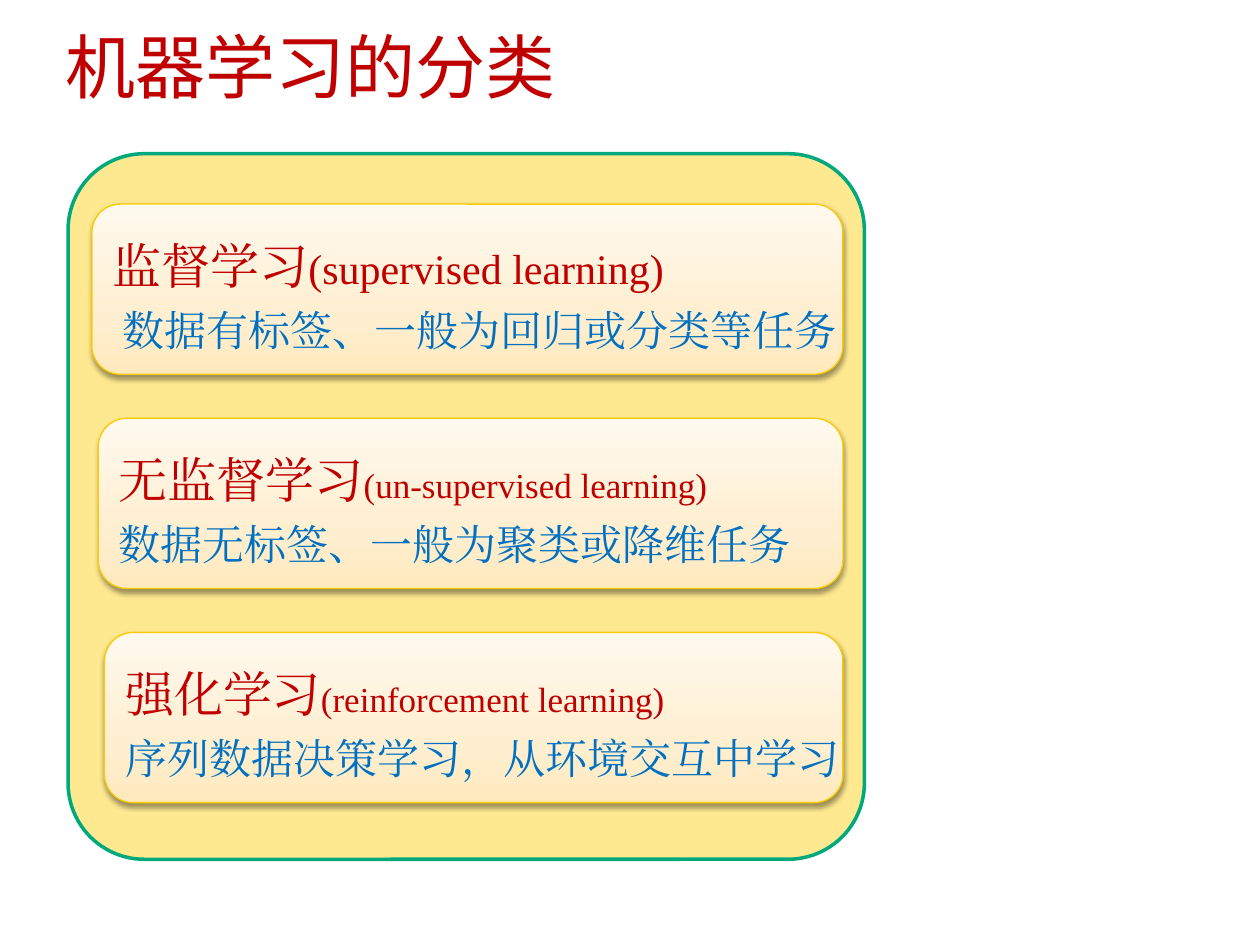
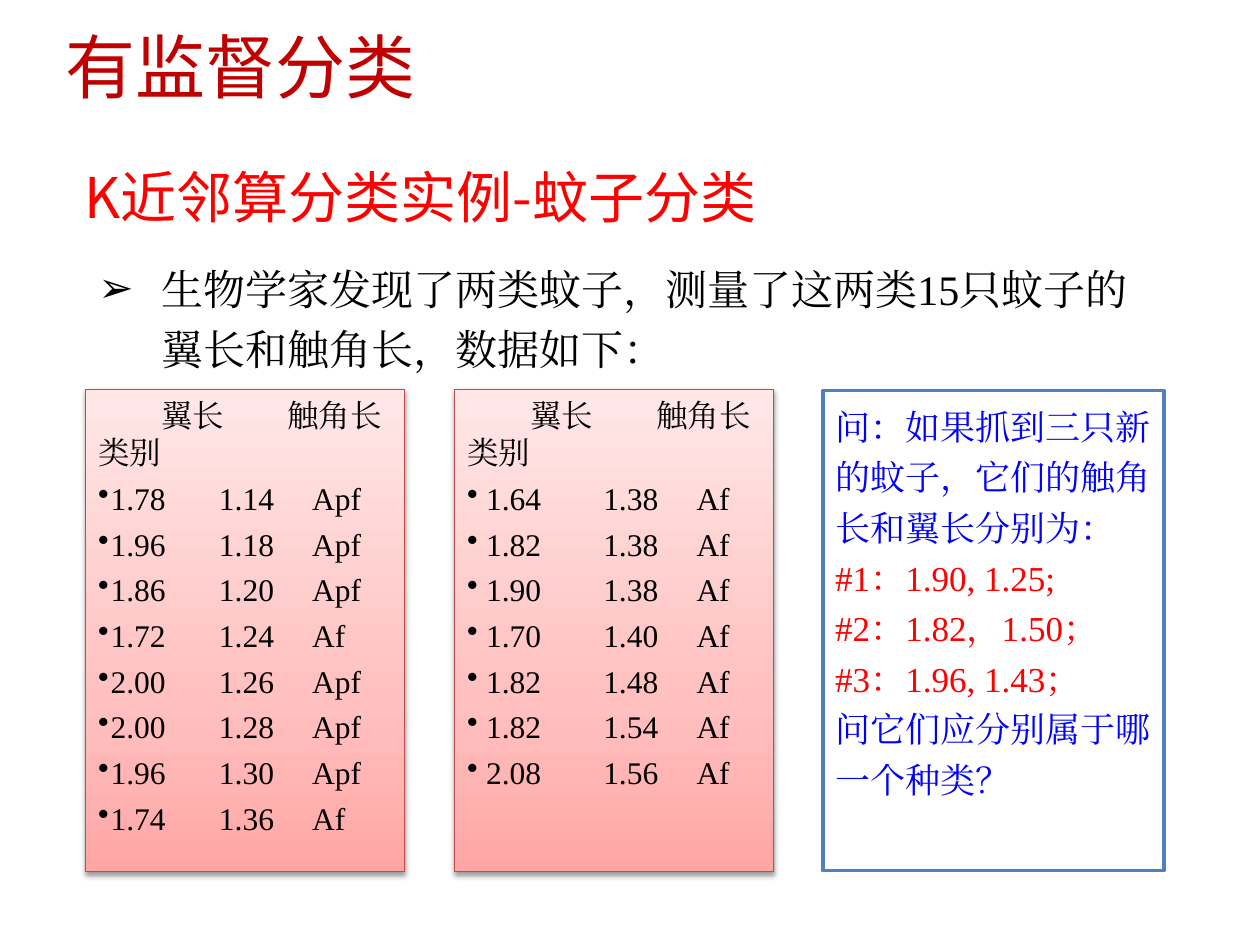
from lxml.etree import SubElement
from pptx import Presentation
from pptx.dml.color import RGBColor
from pptx.enum.shapes import MSO_SHAPE
from pptx.enum.text import MSO_ANCHOR, MSO_AUTO_SIZE, PP_ALIGN
from pptx.oxml.ns import qn
from pptx.util import Emu, Inches, Pt

SERIF, SANS = "Times New Roman", "Noto Sans CJK JP"
DARK_RED, RED, BLUE, SKY, BLACK = "C00000", "FF0000", "0000FF", "0070C0", "000000"
CREAM = [(0, "FFE9BD"), (35, "FFEFD1"), (100, "FFF9EE")]
PINK = [(0, "FFA6A5"), (35, "FFC0BF"), (100, "FFE7E7")]

# Chinese name, English name, size of the English name, description, indent of the description
LEARNING_TYPES = [
    ("监督学习", "(supervised learning)", 24, "数据有标签、一般为回归或分类等任务", 0.08),
    ("无监督学习", "(un-supervised learning)", 20, "数据无标签、一般为聚类或降维任务", 0),
    ("强化学习", "(reinforcement learning)", 20, "序列数据决策学习，从环境交互中学习", 0),
]

HEADINGS = ("翼长", "触角长", "类别")
MOSQUITO_PANELS = [
    {
        "left": 0.68,
        "heading_tabs": (0.06, 0.78, 1.64),
        "row_tabs": (0.1, 0.96, 1.7),
        "rows": [
            ("1.78", "1.14", "Apf"), ("1.96", "1.18", "Apf"),
            ("1.86", "1.20", "Apf"), ("1.72", "1.24", "Af"),
            ("2.00", "1.26", "Apf"), ("2.00", "1.28", "Apf"),
            ("1.96", "1.30", "Apf"), ("1.74", "1.36", "Af"),
        ],
    },
    {
        "left": 3.61,
        "heading_tabs": (0.16, 0.89, 1.7),
        "row_tabs": (0.15, 1.08, 1.82),
        "rows": [
            ("1.64", "1.38", "Af"), ("1.82", "1.38", "Af"),
            ("1.90", "1.38", "Af"), ("1.70", "1.40", "Af"),
            ("1.82", "1.48", "Af"), ("1.82", "1.54", "Af"),
            ("2.08", "1.56", "Af"),
        ],
    },
]

QUESTION = [
    ("问：如果抓到三只新的蚊子，它们的触角长和翼长分别为：", BLUE),
    ("#1：1.90, 1.25;", RED),
    ("#2：1.82，1.50；", RED),
    ("#3：1.96, 1.43；", RED),
    ("问它们应分别属于哪一个种类？", BLUE),
]


def color(hex_string):
    return RGBColor.from_string(hex_string)


def set_frame(shape, anchor=MSO_ANCHOR.TOP, insets=(0.1, 0.05, 0.1, 0.05), wrap=True):
    frame = shape.text_frame
    frame.auto_size = MSO_AUTO_SIZE.NONE
    frame.word_wrap = wrap
    frame.vertical_anchor = anchor
    (frame.margin_left, frame.margin_top,
     frame.margin_right, frame.margin_bottom) = map(Inches, insets)
    return frame


def add_text(frame, *runs, size=24, font=SERIF, fill=BLACK, spacing=1.0, before=0,
             align=PP_ALIGN.LEFT, indent=0, hanging=0, bullet=None, tabs=()):
    """Add a paragraph; each run is a string or a (text, size, fill) tuple."""
    paragraph = frame.paragraphs[0]
    if paragraph.runs:
        paragraph = frame.add_paragraph()
    properties = paragraph._p.get_or_add_pPr()
    properties.set("marL", str(Inches(indent)))
    properties.set("indent", str(-Inches(hanging)))
    if bullet:
        SubElement(properties, qn("a:buChar"), char=bullet)
    if tabs:
        tab_list = SubElement(properties, qn("a:tabLst"))
        for position in tabs:
            SubElement(tab_list, qn("a:tab"), pos=str(Inches(position)), algn="l")
    paragraph.alignment = align
    paragraph.line_spacing = spacing
    paragraph.space_before = Pt(before)
    for item in runs:
        text, run_size, run_fill = (item, size, fill) if isinstance(item, str) else item
        run = paragraph.add_run()
        run.text = text
        run.font.name = font
        run.font.size = Pt(run_size)
        run.font.color.rgb = color(run_fill)
        SubElement(run._r.get_or_add_rPr(), qn("a:ea"), typeface=font)


def place(shape, left, top, width, height):
    shape.left, shape.top, shape.width, shape.height = map(Inches, (left, top, width, height))


def add_box(slide, kind, box, line, line_width, fill=None):
    shape = slide.shapes.add_shape(kind, *map(Inches, box))
    shape.shadow.inherit = False
    shape.line.color.rgb = color(line)
    shape.line.width = Pt(line_width)
    if fill:
        shape.fill.solid()
        shape.fill.fore_color.rgb = color(fill)
    return shape


def add_raised_box(slide, kind, box, line, stops):
    """Add a box with a vertical gradient and a soft shadow below it."""
    shape = add_box(slide, kind, box, line, 0.75)
    shape.fill.gradient()
    shape.fill.gradient_angle = 90
    properties = shape._element.spPr
    stop_list = properties.find(".//" + qn("a:gsLst"))
    for stop in list(stop_list):
        stop_list.remove(stop)
    for percent, tint in stops:
        stop = SubElement(stop_list, qn("a:gs"), pos=str(percent * 1000))
        SubElement(stop, qn("a:srgbClr"), val=tint)
    shadow = SubElement(properties.find(qn("a:effectLst")), qn("a:outerShdw"),
                        blurRad=str(Pt(3.1)), dist=str(Pt(1.6)), dir="5400000", rotWithShape="0")
    shade = SubElement(shadow, qn("a:srgbClr"), val=BLACK)
    SubElement(shade, qn("a:alpha"), val="38000")
    return shape


def add_titled_slide(presentation, layout_index, title):
    slide = presentation.slides.add_slide(presentation.slide_layouts[layout_index])
    place(slide.shapes.title, 0.42, 0.15, 9.16, 0.72)
    frame = set_frame(slide.shapes.title, MSO_ANCHOR.MIDDLE, (0.1, 0.16, 0.1, 0.05))
    add_text(frame, title, size=40, font=SANS, fill=DARK_RED, spacing=0.9)
    return slide


def build_learning_types(presentation):
    slide = add_titled_slide(presentation, 5, "机器学习的分类")
    panel = add_box(slide, MSO_SHAPE.ROUNDED_RECTANGLE, (0.54, 1.22, 6.32, 5.6),
                    "00A97C", 2, "FFE990")
    panel.adjustments[0] = 0.108
    right, first_top, pitch, height = 6.69, 1.62, 1.7, 1.35
    for index, (name, english, english_size, description, indent) in enumerate(LEARNING_TYPES):
        left = 0.73 + 0.05 * index
        card = add_raised_box(slide, MSO_SHAPE.ROUNDED_RECTANGLE,
                              (left, first_top + pitch * index, right - left, height),
                              "FACB00", CREAM)
        frame = set_frame(card, MSO_ANCHOR.MIDDLE, (0.1, 0, 0.1, 0), wrap=False)
        add_text(frame, (name, 28, DARK_RED), (english, english_size, DARK_RED), spacing=1.2)
        add_text(frame, description, fill=SKY, spacing=1.2, indent=indent)


def build_mosquito_example(presentation):
    slide = add_titled_slide(presentation, 1, "有监督分类")

    body = slide.placeholders[1]
    place(body, 0.68, 1.96, 8.63, 1.02)
    add_text(set_frame(body),
             "生物学家发现了两类蚊子，测量了这两类15只蚊子的翼长和触角长，数据如下：",
             spacing=1.2, indent=0.5, hanging=0.5, bullet="➢")

    heading = slide.shapes.add_textbox(Emu(0), Emu(0), Emu(0), Emu(0))
    place(heading, 0.57, 1.09, 6.87, 0.77)
    add_text(set_frame(heading), "K近邻算分类实例-蚊子分类",
             size=32, font=SANS, fill=RED, spacing=1.28)

    for panel in MOSQUITO_PANELS:
        shape = add_raised_box(slide, MSO_SHAPE.RECTANGLE, (panel["left"], 3.09, 2.53, 3.83),
                               "BF4C48", PINK)
        frame = set_frame(shape)
        add_text(frame, "\t" + "\t".join(HEADINGS), size=18, tabs=panel["heading_tabs"])
        for row in panel["rows"]:
            add_text(frame, "\t" + "\t".join(row), size=18, before=4.5,
                     bullet="•", tabs=panel["row_tabs"])

    question = add_box(slide, MSO_SHAPE.RECTANGLE, (6.53, 3.1, 2.71, 3.81),
                       "4F81BD", 2, "FFFFFF")
    frame = set_frame(question)
    for text, fill in QUESTION:
        add_text(frame, text, size=20, fill=fill, spacing=1.2)


def main():
    presentation = Presentation()
    presentation.slide_width, presentation.slide_height = Inches(10), Inches(7.5)
    build_learning_types(presentation)
    build_mosquito_example(presentation)
    presentation.save("out.pptx")


if __name__ == "__main__":
    main()
